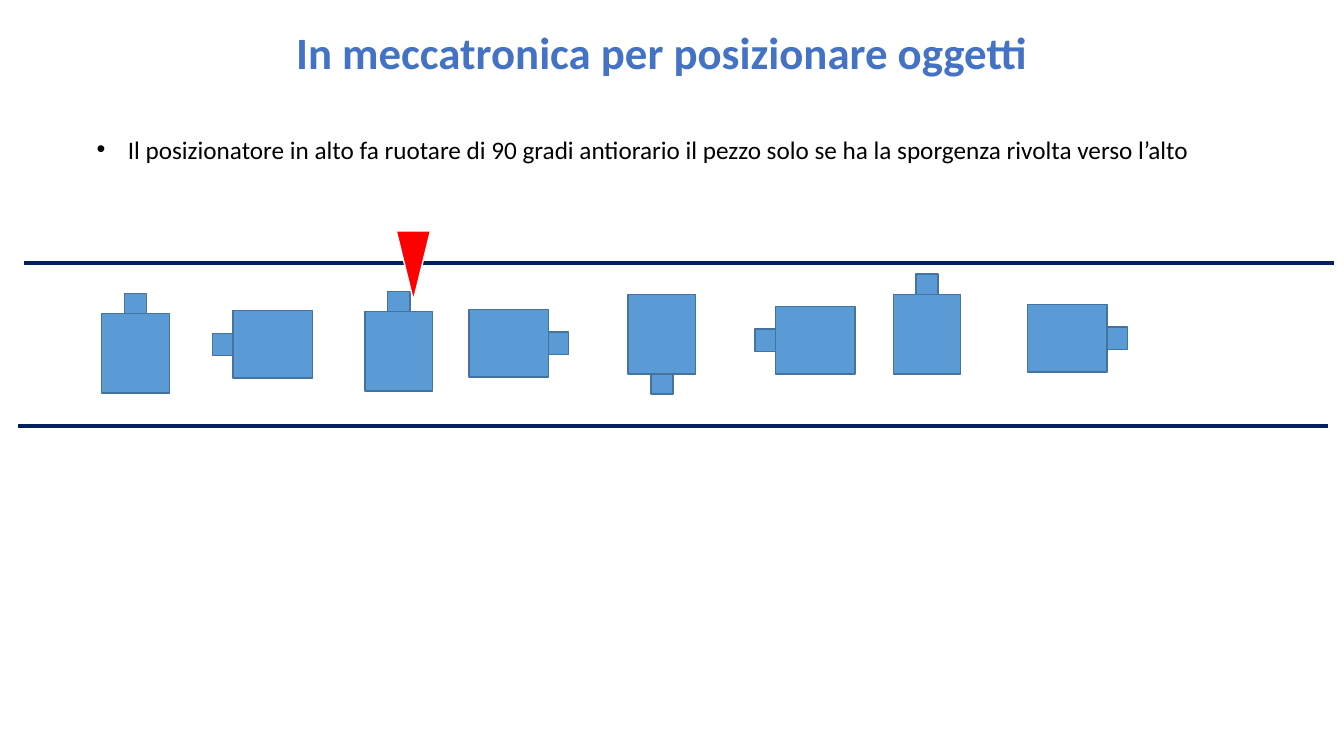
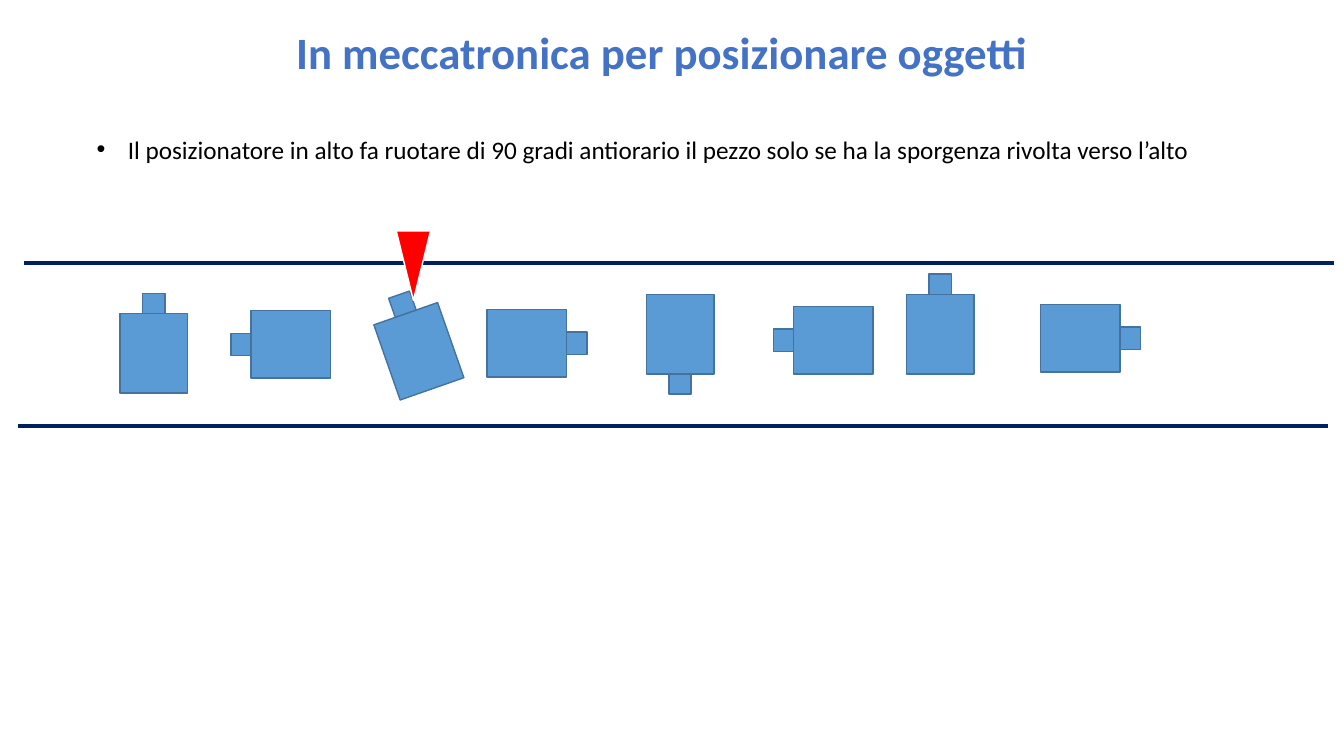
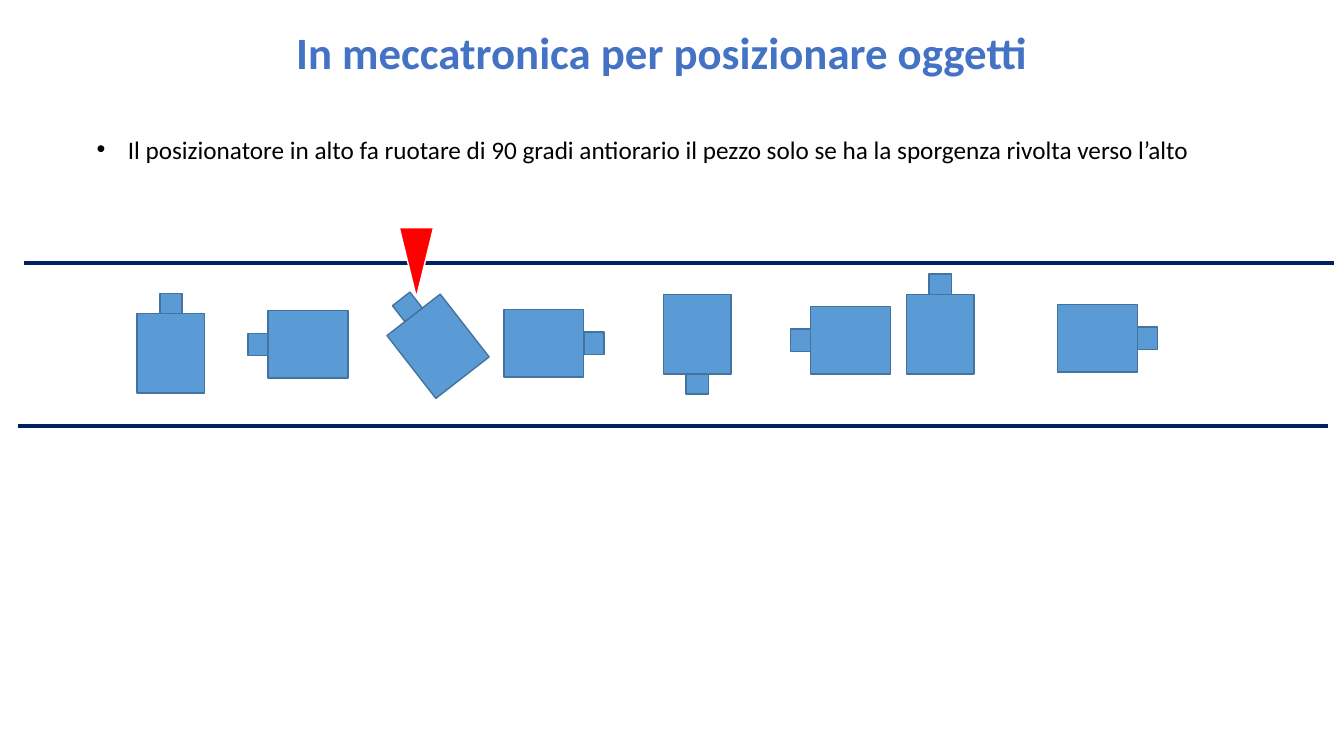
from math import cos, radians, sin

from lxml import etree
from pptx import Presentation
from pptx.dml.color import RGBColor
from pptx.enum.shapes import MSO_CONNECTOR, MSO_SHAPE
from pptx.enum.text import MSO_AUTO_SIZE, PP_ALIGN
from pptx.oxml.ns import qn
from pptx.util import Inches, Pt

TITLE = "In meccatronica per posizionare oggetti"
RULE = ("Il posizionatore in alto fa ruotare di 90 gradi antiorario il pezzo "
        "solo se ha la sporgenza rivolta verso l’alto")

WHITE, BLACK, RED = "FFFFFF", "000000", "FF0000"
TITLE_BLUE, BELT_BLUE = "4472C4", "002060"
PIECE_FILL, PIECE_EDGE = "5B9BD5", "43739E"

TITLE_FORMAT = {"name": "Calibri", "size": Pt(32), "bold": True}
RULE_FORMAT = {"name": "Calibri", "size": Pt(18)}

BODY_W, BODY_H = 0.67, 0.79
TAB_W, TAB_H = 0.22, 0.2
BELT_EDGES = [(0.24, 2.61), (0.18, 4.23)]
BELT_LENGTH = 12.99
POINTER_W, POINTER_H = 0.34, 0.69

# Left and top of each body before it turns, then its clockwise rotation
PIECES = [
    (1.01, 3.11, 0),
    (2.37, 3.02, 270),
    (3.62, 3.09, 0),
    (4.71, 3.01, 90),
    (6.23, 2.92, 180),
    (7.75, 2.98, 270),
    (8.86, 2.92, 0),
    (10.25, 2.96, 90),
]

# Belt advance, pointer position, and the pieces that do not simply advance
FRAMES = [
    {"advance": 0, "pointer": (3.93, 2.29), "special": {}},
    {"advance": 0.18, "pointer": (3.93, 2.29),
     "special": {2: (3.82, 3.09, 340.7), 6: (8.99, 2.92, 0), 7: (10.38, 2.96, 90)}},
    {"advance": 0.35, "pointer": (3.96, 2.26),
     "special": {2: (4.01, 3.04, 322.1), 6: (8.99, 2.92, 0), 7: (10.55, 2.96, 90)}},
]


def rgb(color):
    return RGBColor.from_string(color)


def add_text(slide, box, text, color, formats, wrap):
    textbox = slide.shapes.add_textbox(*map(Inches, box))
    frame = textbox.text_frame
    frame.word_wrap = wrap
    frame.auto_size = MSO_AUTO_SIZE.SHAPE_TO_FIT_TEXT
    paragraph = frame.paragraphs[0]
    run = paragraph.add_run()
    run.text = text
    for name, value in formats.items():
        setattr(run.font, name, value)
    run.font.color.rgb = rgb(color)
    return paragraph


def add_outline(run, color, width):
    """Draw a thin line around the letters."""
    properties = run._r.get_or_add_rPr()
    line = etree.Element(qn("a:ln"), w=str(Pt(width)))
    fill = etree.SubElement(line, qn("a:solidFill"))
    etree.SubElement(fill, qn("a:srgbClr"), val=color)
    properties.insert(0, line)


def add_bullet(paragraph, indent):
    properties = paragraph._p.get_or_add_pPr()
    properties.set("marL", str(Inches(indent)))
    properties.set("indent", str(-Inches(indent)))
    etree.SubElement(properties, qn("a:buFont"), typeface="Arial")
    etree.SubElement(properties, qn("a:buChar"), char="•")


def add_block(shapes, preset, box, rotation, fill, edge):
    block = shapes.add_shape(preset, *map(Inches, box))
    block.rotation = rotation
    block.shadow.inherit = False
    block.fill.solid()
    block.fill.fore_color.rgb = rgb(fill)
    block.line.color.rgb = rgb(edge)
    block.line.width = Pt(1)


def add_piece(slide, left, top, rotation):
    """Group a body with the tab that sticks out of its turned upper side."""
    angle = radians(rotation)
    reach = (BODY_H + TAB_H) / 2
    tab_left = left + (BODY_W - TAB_W) / 2 + reach * sin(angle)
    tab_top = top + (BODY_H - TAB_H) / 2 - reach * cos(angle)
    piece = slide.shapes.add_group_shape()
    for box in [(left, top, BODY_W, BODY_H), (tab_left, tab_top, TAB_W, TAB_H)]:
        add_block(piece.shapes, MSO_SHAPE.RECTANGLE, box, rotation,
                  PIECE_FILL, PIECE_EDGE)


def add_belt(slide):
    for left, top in BELT_EDGES:
        ends = map(Inches, (left, top, left + BELT_LENGTH, top))
        edge = slide.shapes.add_connector(MSO_CONNECTOR.STRAIGHT, *ends)
        edge.line.color.rgb = rgb(BELT_BLUE)
        edge.line.width = Pt(3)
        etree.SubElement(edge._element.spPr, qn("a:effectLst"))


def add_frame(slide, advance, pointer, special):
    title = add_text(slide, (2.8, 0.2, 7.53, 0.64), TITLE, TITLE_BLUE,
                     TITLE_FORMAT, wrap=False)
    title.alignment = PP_ALIGN.CENTER
    add_outline(title.runs[0], WHITE, 0.75)
    add_belt(slide)
    for index, (left, top, rotation) in enumerate(PIECES):
        add_piece(slide, *special.get(index, (left + advance, top, rotation)))
    add_block(slide.shapes, MSO_SHAPE.ISOSCELES_TRIANGLE,
              (*pointer, POINTER_W, POINTER_H), 180, RED, WHITE)
    rule = add_text(slide, (0.86, 1.28, 11.26, 0.4), RULE, BLACK,
                    RULE_FORMAT, wrap=True)
    add_bullet(rule, 0.31)


def main():
    deck = Presentation()
    deck.slide_width, deck.slide_height = Inches(13.33), Inches(7.5)
    blank = deck.slide_layouts[6]
    for frame in FRAMES:
        add_frame(deck.slides.add_slide(blank), **frame)
    deck.save("out.pptx")


if __name__ == "__main__":
    main()
